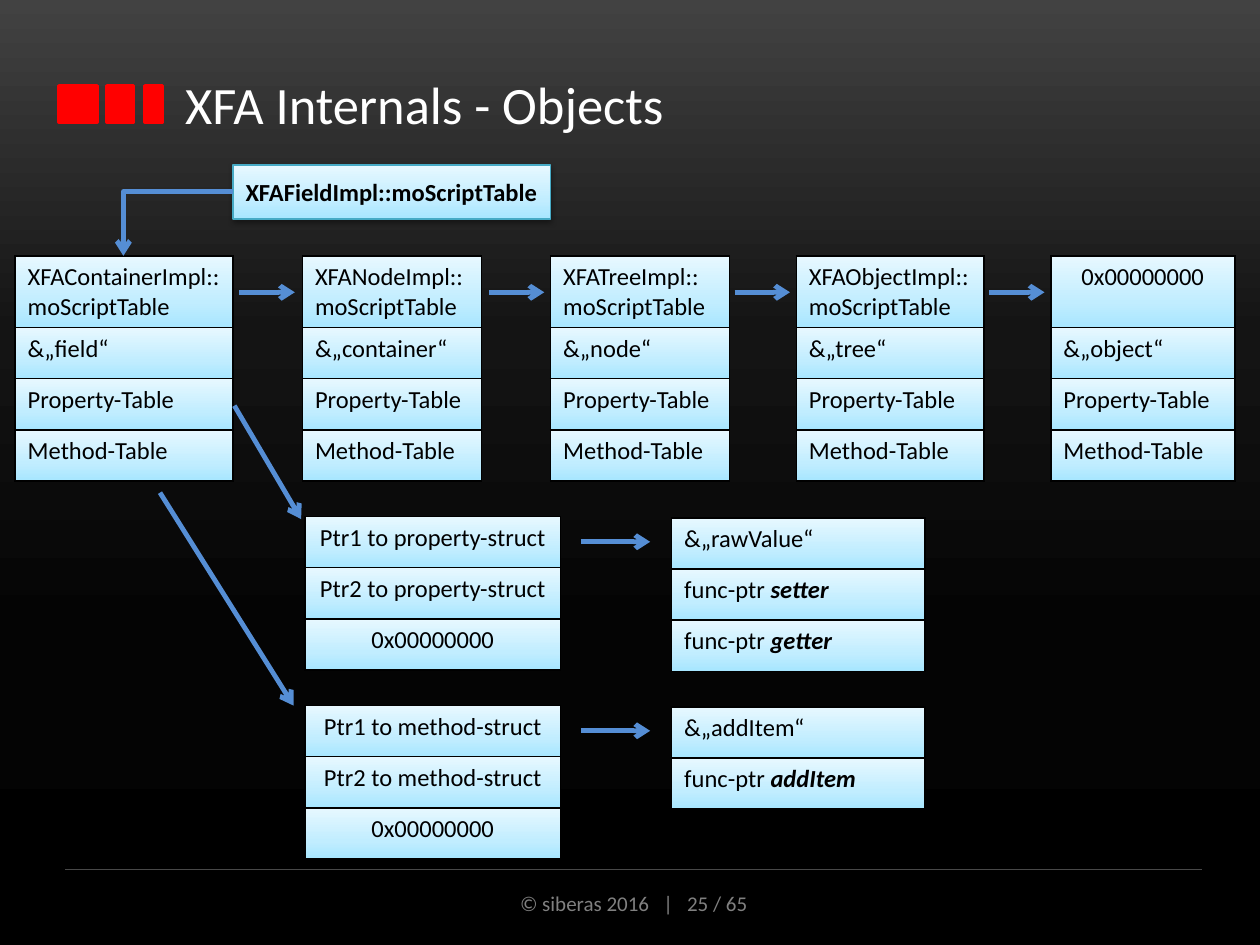
from lxml.etree import SubElement
from pptx import Presentation
from pptx.dml.color import RGBColor
from pptx.enum.shapes import MSO_CONNECTOR, MSO_SHAPE
from pptx.enum.text import MSO_ANCHOR, PP_ALIGN
from pptx.oxml import parse_xml
from pptx.oxml.ns import nsdecls, qn
from pptx.util import Inches, Pt

COLORS = {"red": "FF0000", "white": "FFFFFF", "black": "000000", "gray": "808080",
          "rule": "484848", "arrow": "558ED5", "edge": "46AAC5"}
NIGHT = [(0, "424242"), (35, "141414"), (67, "040404"), (100, "000000")]
ICE = [(0, "A7E6FF"), (35, "C1EDFF"), (100, "E7F8FF")]
ROW, HEAD = 0.406, 0.57


def color(name):
    return RGBColor.from_string(COLORS[name])


def shade(fill, node, stops, angle):
    """Give fill, held by the XML node, a linear gradient with the stops."""
    fill.gradient()
    fill.gradient_angle = angle
    group = node.find(".//" + qn("a:gsLst"))
    for old in list(group):
        group.remove(old)
    for pos, tone in stops:
        stop = SubElement(group, qn("a:gs"), pos=str(pos * 1000))
        SubElement(stop, qn("a:srgbClr"), val=tone)


def write(frame, text, size=14, tone="black", bold=None, align=PP_ALIGN.LEFT,
          anchor=MSO_ANCHOR.TOP):
    """Write text; any part after a * is bold italic."""
    frame.word_wrap = True
    frame.vertical_anchor = anchor
    para = frame.paragraphs[0]
    para.alignment = align
    for i, part in enumerate(text.split("*")):
        run = para.add_run()
        run.text = part
        font = run.font
        font.name, font.size, font.color.rgb = "Calibri", Pt(size), color(tone)
        font.bold = True if i else bold
        font.italic = True if i else None


def label(slide, box, text, **style):
    area = slide.shapes.add_textbox(*map(Inches, box))
    write(area.text_frame, text, **style)


def draw_line(slide, start, end, tone="arrow", width=2.75, head=True,
              kind=MSO_CONNECTOR.STRAIGHT):
    line = slide.shapes.add_connector(kind, *map(Inches, start + end))
    line.line.color.rgb = color(tone)
    line.line.width = Pt(width)
    props = line._element.spPr
    if head:
        SubElement(props.find(qn("a:ln")), qn("a:tailEnd"), type="arrow")
    SubElement(props, qn("a:effectLst"))
    return line


def draw_rect(slide, box):
    rect = slide.shapes.add_shape(MSO_SHAPE.RECTANGLE, *map(Inches, box))
    rect.shadow.inherit = False
    return rect


def frame_cell(cell):
    props = cell._tc.get_or_add_tcPr()
    for i, side in enumerate("LRTB"):
        props.insert(i, parse_xml(
            f'<a:ln{side} {nsdecls("a")} w="12700"><a:solidFill>'
            f'<a:srgbClr val="{COLORS["black"]}"/></a:solidFill></a:ln{side}>'))


def draw_stack(slide, left, top, width, rows, head=ROW, aligns=None):
    """Draw a one-column table whose first row is head inches high."""
    size = head + ROW * (len(rows) - 1)
    table = slide.shapes.add_table(
        len(rows), 1, *map(Inches, (left, top, width, size))).table
    table.first_row = table.horz_banding = False
    for i, text in enumerate(rows):
        table.rows[i].height = Inches(ROW if i else head)
        cell = table.cell(i, 0)
        align = aligns[i] if aligns else PP_ALIGN.LEFT
        write(cell.text_frame, text, align=align)
        shade(cell.fill, cell._tc, ICE, 90)
        frame_cell(cell)


def draw_master(slide):
    shade(slide.background.fill, slide.element, NIGHT, 270)
    for left, width in ((0.47, 0.3), (0.85, 0.21), (1.15, 0.14)):
        mark = draw_rect(slide, (left, 0.68, width, 0.29))
        mark.fill.solid()
        mark.fill.fore_color.rgb = mark.line.color.rgb = color("red")
        mark.line.width = Pt(2)
    draw_line(slide, (0.52, 6.9), (9.54, 6.9), "rule", 0.75, head=False)
    label(slide, (3.37, 7.02, 3.32, 0.3), "© siberas 2016   |   25 / 65",
          size=12, tone="gray", align=PP_ALIGN.CENTER)


def draw_root(slide, box):
    """Draw the starting box and its elbow down to the first stack."""
    root = draw_rect(slide, box)
    shade(root.fill, root._element.spPr, ICE, 90)
    root.line.color.rgb = color("edge")
    root.line.width = Pt(0.75)
    root._element.spPr.find(qn("a:effectLst")).append(parse_xml(
        f'<a:outerShdw {nsdecls("a")} blurRad="39370" dist="20320" dir="5400000" '
        f'rotWithShape="0"><a:srgbClr val="{COLORS["black"]}">'
        '<a:alpha val="38000"/></a:srgbClr></a:outerShdw>'))
    write(root.text_frame, "XFAFieldImpl::moScriptTable", bold=True,
          anchor=MSO_ANCHOR.MIDDLE)
    elbow = draw_line(slide, (box[0], 1.52), (0.98, 2.03), kind=MSO_CONNECTOR.ELBOW)
    elbow._element.spPr.find(qn("a:prstGeom")).set("prst", "bentConnector2")


def draw_chain(slide, top):
    stacks = [(0.12, 1.73, "XFAContainerImpl::moScriptTable", "field"),
              (2.4, 1.42, "XFANodeImpl::moScriptTable", "container"),
              (4.37, 1.42, "XFATreeImpl::moScriptTable", "node"),
              (6.32, 1.49, "XFAObjectImpl::moScriptTable", "tree"),
              (8.34, 1.46, "0x00000000", "object")]
    for left, width, name, kind in stacks:
        first = PP_ALIGN.CENTER if name.startswith("0x") else PP_ALIGN.LEFT
        draw_stack(slide, left, top, width,
                   [name, f"&„{kind}“", "Property-Table", "Method-Table"],
                   HEAD, [first] + [PP_ALIGN.LEFT] * 3)
    for left in (1.9, 3.88, 5.83, 7.85):
        draw_line(slide, (left, top + 0.29), (left + 0.44, top + 0.29))


def draw_struct(slide, top, kind, fields):
    """Draw a pointer list and the struct its first entry leads to."""
    names = [f"Ptr{i} to {kind}-struct" for i in (1, 2)] + ["0x00000000"]
    draw_stack(slide, 2.42, top, 2.03, names, aligns=[PP_ALIGN.CENTER] * 3)
    draw_stack(slide, 5.33, top + 0.01, 2.01, fields)
    draw_line(slide, (4.61, top + 0.2), (5.16, top + 0.2))


def main():
    deck = Presentation()
    deck.slide_width, deck.slide_height = Inches(10), Inches(7.5)
    slide = deck.slides.add_slide(deck.slide_layouts[6])
    draw_master(slide)
    label(slide, (1.37, 0.39, 8.09, 0.87), "XFA Internals - Objects",
          size=30, tone="white", anchor=MSO_ANCHOR.MIDDLE)
    draw_chain(slide, 2.03)
    draw_struct(slide, 4.1, "property",
                ["&„rawValue“", "func-ptr *setter", "func-ptr *getter"])
    draw_struct(slide, 5.6, "method", ["&„addItem“", "func-ptr *addItem"])
    draw_line(slide, (1.86, 3.22), (2.39, 4.12))
    draw_line(slide, (1.27, 3.91), (2.33, 5.6))
    draw_root(slide, (1.85, 1.31, 2.52, 0.43))
    deck.save("out.pptx")


if __name__ == "__main__":
    main()
